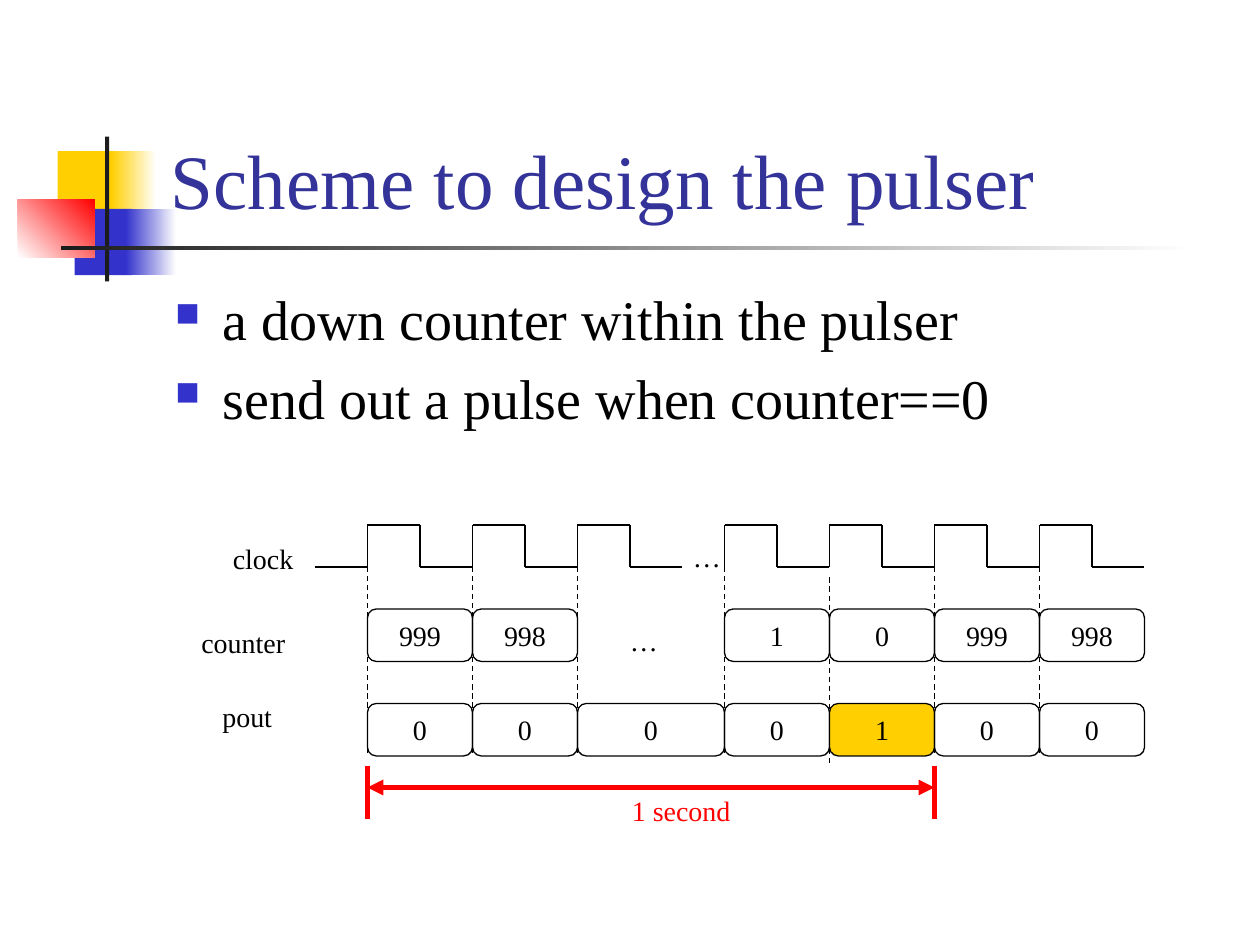
from dataclasses import dataclass
from itertools import pairwise

from lxml.etree import SubElement
from pptx import Presentation
from pptx.dml.color import RGBColor as Rgb
from pptx.enum.dml import MSO_LINE_DASH_STYLE as Dash
from pptx.enum.shapes import MSO_CONNECTOR as Connector, MSO_SHAPE as Shape
from pptx.enum.text import MSO_ANCHOR as Anchor, PP_ALIGN as Align
from pptx.oxml.ns import qn
from pptx.util import Pt

PX = 7620


@dataclass(frozen=True)
class Theme:
    """Colours, font and type sizes of the slide."""
    font: str = "Times New Roman"
    title: str = "333399"
    ink: str = "000000"
    bar: str = "1C1C1C"
    yellow: str = "FFCF01"
    blue: str = "3333CC"
    red: str = "FF0000"
    white: str = "FFFFFF"
    title_size: int = 44
    body_size: int = 32
    label_size: int = 16
    thin: float = 0.75
    thick: float = 3


THEME = Theme()


def emu(*lengths):
    """Turn px lengths into EMU."""
    return [length * PX for length in lengths]


def style(paragraph, size, color):
    """Set the font of a whole paragraph."""
    font = paragraph.font
    font.name, font.size = THEME.font, Pt(size)
    font.color.rgb = Rgb.from_string(color)


def write(shapes, box, lines, size, color, anchor=Anchor.TOP, wrap=False):
    """Add a text box with one paragraph per line and return its frame."""
    frame = shapes.add_textbox(*emu(*box)).text_frame
    frame.word_wrap, frame.vertical_anchor = wrap, anchor
    frame.text = "\n".join(lines)
    for paragraph in frame.paragraphs:
        style(paragraph, size, color)
    return frame


def draw_line(shapes, start, end, color=THEME.ink, width=THEME.thin, dashed=False, arrows=False):
    """Add a straight line between two points."""
    connector = shapes.add_connector(Connector.STRAIGHT, *emu(*start, *end))
    connector.line.color.rgb = Rgb.from_string(color)
    connector.line.width = Pt(width)
    if dashed:
        connector.line.dash_style = Dash.DASH
    if arrows:
        for tip in ("a:headEnd", "a:tailEnd"):
            SubElement(connector.line._get_or_add_ln(), qn(tip), type="triangle")
    SubElement(connector._element.spPr, qn("a:effectLst"))


def draw_block(shapes, box, colors, angle=0):
    """Add a borderless rectangle in one colour or a gradient of two."""
    block = shapes.add_shape(Shape.RECTANGLE, *emu(*box))
    block.shadow.inherit = False
    block.line.fill.background()
    if len(colors) == 1:
        block.fill.solid()
        block.fill.fore_color.rgb = Rgb.from_string(colors[0])
        return
    block.fill.gradient()
    block.fill.gradient_angle = angle
    for stop, color in zip(block.fill.gradient_stops, colors):
        stop.color.rgb = Rgb.from_string(color)


def draw_ornament(shapes, left, top):
    """Draw the coloured squares and the crossing bars."""
    white = THEME.white
    blocks = [
        ((38, 14, 58, 62), [THEME.yellow], 0),
        ((89, 14, 43, 62), [THEME.yellow, white], 0),
        ((54, 69, 55, 63), [THEME.blue], 0),
        ((103, 69, 48, 63), [THEME.blue, white], 0),
        ((0, 60, 73, 55), [white, THEME.red], 45),
        ((83, 0, 4, 138), [THEME.bar], 0),
        ((41, 104, 1080, 4), [THEME.bar, white], 0),
    ]
    for (x, y, width, height), colors, angle in blocks:
        draw_block(shapes, (left + x, top + y, width, height), colors, angle)


def draw_bullets(shapes, box, lines):
    """Write the bulleted statements."""
    frame = write(shapes, box, lines, THEME.body_size, THEME.ink, wrap=True)
    for paragraph in frame.paragraphs:
        paragraph.space_before = Pt(7)
        props = paragraph._p.get_or_add_pPr()
        props.set("marL", str(45 * PX))
        props.set("indent", str(-45 * PX))
        bullet_color = SubElement(props, qn("a:buClr"))
        SubElement(bullet_color, qn("a:srgbClr"), val=THEME.blue)
        SubElement(props, qn("a:buSzPct"), val="60000")
        SubElement(props, qn("a:buChar"), char="■")
        props.append(props.find(qn("a:defRPr")))


def draw_cell(shapes, box, value, fill=None):
    """Add a rounded cell with the value of a signal."""
    cell = shapes.add_shape(Shape.ROUNDED_RECTANGLE, *emu(*box))
    cell.shadow.inherit = False
    cell.line.color.rgb = Rgb.from_string(THEME.ink)
    cell.line.width = Pt(THEME.thin)
    if fill:
        cell.fill.solid()
        cell.fill.fore_color.rgb = Rgb.from_string(fill)
    else:
        cell.fill.background()
    frame = cell.text_frame
    frame.word_wrap, frame.vertical_anchor = False, Anchor.MIDDLE
    frame.text = value
    frame.paragraphs[0].alignment = Align.CENTER
    style(frame.paragraphs[0], THEME.label_size, THEME.ink)


def draw_timing(shapes, left, top):
    """Draw the clock, the counter and the output over one second."""
    period, half, cell_height = 100, 50, 50
    high, low, counter_top, pout_top = top, top + 40, top + 80, top + 170
    edges = [left + x for x in (50, 150, 250, 390, 490, 590, 690)]
    ends = edges[1:] + [edges[-1] + period]
    counter = ["999", "998", None, "1", "0", "999", "998"]
    pout = ["0", "0", "0", "0", "1", "0", "0"]

    draw_line(shapes, (left, low), (edges[0], low))
    for edge, end, count, output in zip(edges, ends, counter, pout):
        pulse = [(edge, low), (edge, high), (edge + half, high),
                 (edge + half, low), (edge + period, low)]
        for start, finish in pairwise(pulse):
            draw_line(shapes, start, finish)
        fires = output == "1"
        drop = 10 if fires else 0
        draw_line(shapes, (edge, low + drop), (edge, low + 180 + drop), dashed=True)
        if count:
            draw_cell(shapes, (edge, counter_top, end - edge, cell_height), count)
        draw_cell(shapes, (edge, pout_top, end - edge, cell_height), output,
                  THEME.yellow if fires else None)

    span_top, first, last = top + 230, edges[0], edges[5]
    for x in (first, last):
        draw_line(shapes, (x, span_top), (x, span_top + 50), THEME.red, THEME.thick)
    draw_line(shapes, (first, span_top + 20), (last, span_top + 20),
              THEME.red, THEME.thick, arrows=True)

    labels = [
        ("clock", -90, 10, 82, THEME.ink),
        ("counter", -120, 90, 104, THEME.ink),
        ("pout", -100, 160, 72, THEME.ink),
        ("…", 348, 8, 50, THEME.ink),
        ("…", 288, 88, 50, THEME.ink),
        ("1 second", 290, 250, 119, THEME.red),
    ]
    for text, x, y, width, color in labels:
        write(shapes, (left + x, top + y, width, 44), [text], THEME.label_size, color)


def main():
    """Build the slide and save it."""
    deck = Presentation()
    deck.slide_width, deck.slide_height = emu(1200, 900)
    shapes = deck.slides.add_slide(deck.slide_layouts[6]).shapes
    draw_ornament(shapes, 17, 130)
    write(shapes, (151, 28, 1022, 192), ["Scheme to design the pulser"],
          THEME.title_size, THEME.title, Anchor.BOTTOM, wrap=True)
    draw_bullets(shapes, (155, 265, 1020, 155),
                 ["a down counter within the pulser", "send out a pulse when counter==0"])
    draw_timing(shapes.add_group_shape().shapes, 300, 500)
    deck.save("out.pptx")


if __name__ == "__main__":
    main()
